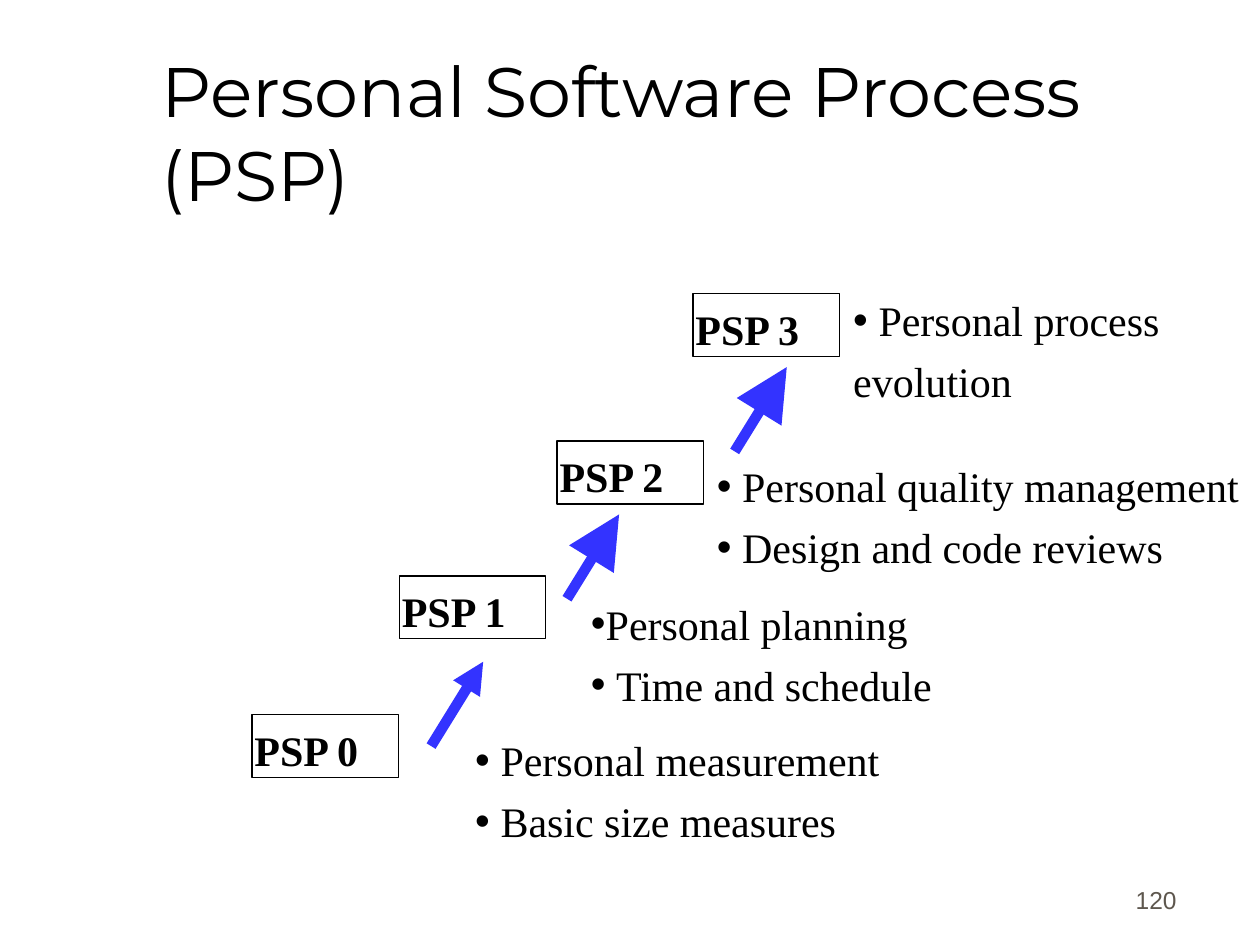
"""Build the Personal Software Process staircase slide."""
from dataclasses import dataclass

from lxml import etree
from pptx import Presentation
from pptx.dml.color import RGBColor
from pptx.enum import shapes, text
from pptx.oxml import ns
from pptx.util import Cm, Pt


@dataclass(frozen=True)
class Theme:
    """Colours, fonts and type sizes."""
    ink: RGBColor = RGBColor(0, 0, 0)
    arrow: RGBColor = RGBColor(0x33, 0x33, 0xFF)
    muted: RGBColor = RGBColor(0x5E, 0x57, 0x4E)
    title_font: str = "Montserrat"
    text_font: str = "Times New Roman"
    number_font: str = "Arial"
    title_size: int = 40
    text_size: int = 24
    number_size: int = 14


@dataclass(frozen=True)
class Level:
    """One PSP level: its box, its list and where they stand, in cm."""
    name: str
    box: tuple[float, float]
    corner: tuple[float, float]
    lines: tuple[str, ...]
    indents: tuple[float, ...] = (0.51, 0.51)
    list_width: float = 9.07


@dataclass(frozen=True)
class Arrow:
    """Start of a rising arrow in cm, and its head size."""
    x: float
    y: float
    head: str = "lg"


THEME = Theme()
BOX_SIZE = (2.95, 1.27)
LIST_HEIGHT = 2.34
ARROW_RUN, ARROW_RISE = 1.05, 1.7

LEVELS = (
    Level("PSP 0", (5.08, 14.4), (9.53, 14.61),
          ("Personal measurement", "Basic size measures")),
    Level("PSP 1", (8.05, 11.61), (11.86, 11.86),
          ("Personal planning", "Time and schedule"), (0.3, 0.51)),
    Level("PSP 2", (11.23, 8.89), (14.4, 9.09),
          ("Personal quality management", "Design and code reviews"),
          list_width=11.43),
    Level("PSP 3", (13.97, 5.92), (17.15, 5.74),
          ("Personal process", "evolution"), (0.51, 0)),
)
ARROWS = (Arrow(8.69, 15.04, "med"), Arrow(11.43, 12.07), Arrow(14.81, 9.1))


def place(sp, left: float, top: float, width: float, height: float) -> None:
    """Move and size a shape in cm."""
    sp.left, sp.top = Cm(left), Cm(top)
    sp.width, sp.height = Cm(width), Cm(height)


def write(sp, content: str, font: str, size: int, color: RGBColor,
          anchor=text.MSO_ANCHOR.TOP, align=text.PP_ALIGN.LEFT,
          bold: bool = False, inset: float = 0.05, inset_top: float = 0.13) -> None:
    """Fill a shape with uniformly formatted text."""
    tf = sp.text_frame
    tf.text = content
    tf.word_wrap = True
    tf.auto_size = text.MSO_AUTO_SIZE.NONE
    tf.vertical_anchor = anchor
    tf.margin_left = tf.margin_right = Cm(inset)
    tf.margin_top, tf.margin_bottom = Cm(inset_top), Cm(0.13)
    for i, p in enumerate(tf.paragraphs):
        p.alignment = align
        p.space_before = Pt(6 if i else 0)
        for r in p.runs:
            r.font.name, r.font.size, r.font.bold = font, Pt(size), bold
            r.font.color.rgb = color


def set_bullet(p, indent: float) -> None:
    """Give a paragraph a hanging bullet, or none when the indent is zero."""
    pPr = p._p.get_or_add_pPr()
    pPr.set("marL", str(Cm(indent)))
    pPr.set("indent", str(-Cm(indent)))
    if indent:
        etree.SubElement(pPr, ns.qn("a:buFont")).set("typeface", "Arial")
        etree.SubElement(pPr, ns.qn("a:buChar")).set("char", "•")
    else:
        etree.SubElement(pPr, ns.qn("a:buNone"))


def draw_level(slide, level: Level, body) -> None:
    """Draw a level's box and fill its list placeholder."""
    sp = slide.shapes.add_shape(shapes.MSO_SHAPE.RECTANGLE, 0, 0, 0, 0)
    place(sp, *level.box, *BOX_SIZE)
    sp.shadow.inherit = False
    sp.fill.background()
    sp.line.color.rgb, sp.line.width = THEME.ink, Pt(0.75)
    write(sp, level.name, THEME.text_font, THEME.text_size, THEME.ink,
          bold=True, inset_top=0.2)

    place(body, *level.corner, level.list_width, LIST_HEIGHT)
    write(body, "\n".join(level.lines), THEME.text_font, THEME.text_size,
          THEME.ink, inset_top=0.2)
    for p, indent in zip(body.text_frame.paragraphs, level.indents):
        set_bullet(p, indent)


def draw_arrow(slide, arrow: Arrow) -> None:
    """Draw a thick arrow rising to the next level."""
    s = slide.shapes.add_connector(
        shapes.MSO_CONNECTOR.STRAIGHT, Cm(arrow.x), Cm(arrow.y),
        Cm(arrow.x + ARROW_RUN), Cm(arrow.y - ARROW_RISE))
    s.line.color.rgb, s.line.width = THEME.arrow, Pt(6)
    tail = etree.SubElement(s.line._get_or_add_ln(), ns.qn("a:tailEnd"))
    for key, value in (("type", "triangle"), ("w", arrow.head), ("len", arrow.head)):
        tail.set(key, value)
    etree.SubElement(s._element.spPr, ns.qn("a:effectLst"))


def main() -> None:
    """Assemble and save the slide."""
    prs = Presentation()
    prs.slide_width, prs.slide_height = Cm(25.4), Cm(19.05)
    comparison = prs.slide_layouts.get_by_name("Comparison")
    slide = prs.slides.add_slide(comparison)

    title, *bodies = slide.placeholders
    place(title, 3.2, 0.71, 21.62, 3.89)
    write(title, "Personal Software Process (PSP)", THEME.title_font,
          THEME.title_size, THEME.ink, text.MSO_ANCHOR.MIDDLE)

    for level, body in zip(LEVELS, bodies):
        draw_level(slide, level, body)
    for arrow in ARROWS:
        draw_arrow(slide, arrow)

    number = slide.shapes.add_textbox(0, 0, 0, 0)
    place(number, 18.69, 17.3, 5.28, 1.27)
    write(number, "120", THEME.number_font, THEME.number_size, THEME.muted,
          text.MSO_ANCHOR.BOTTOM, text.PP_ALIGN.RIGHT, inset=0.25)
    prs.save("out.pptx")


if __name__ == "__main__":
    main()
